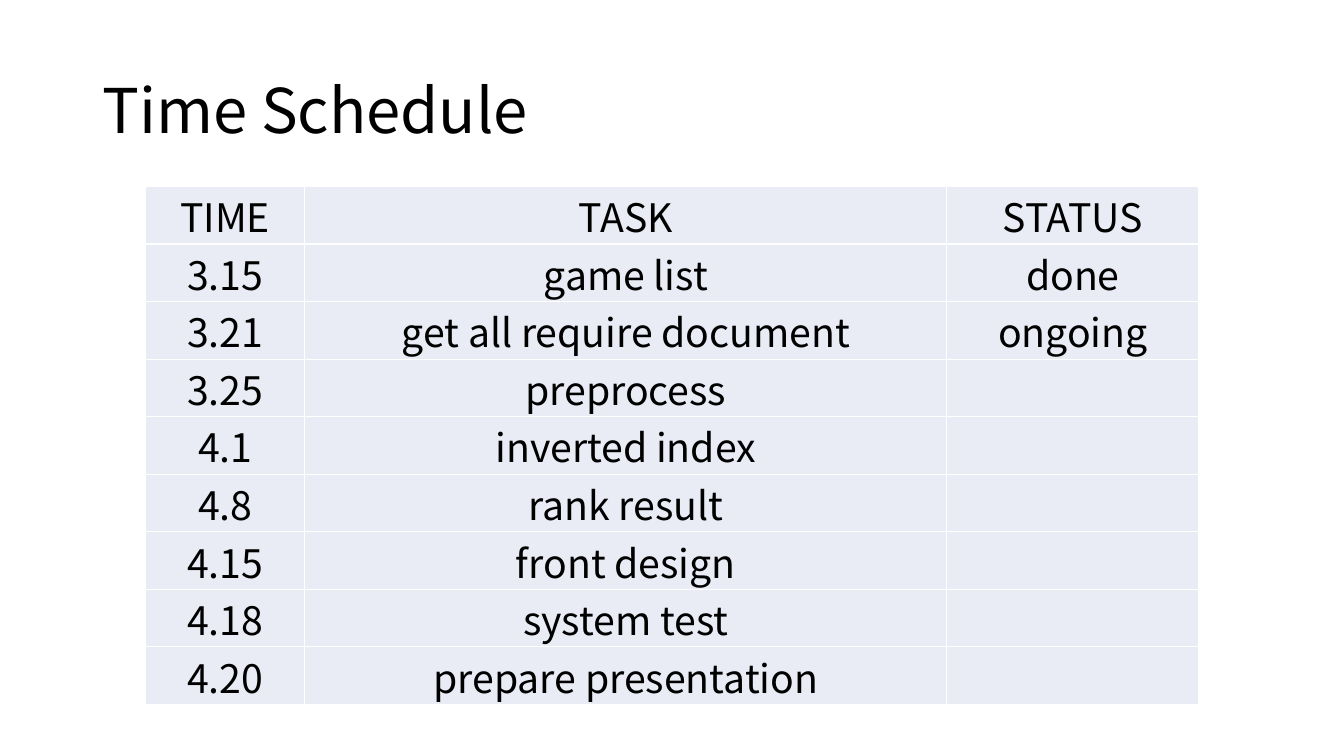
from lxml import etree
from pptx import Presentation
from pptx.dml.color import RGBColor
from pptx.enum import text
from pptx.oxml import ns
from pptx.util import Cm, Pt

FONT = "Noto Sans CJK SC"
SCHEDULE = [
    ("TIME", "TASK", "STATUS"),
    ("3.15", "game list", "done"),
    ("3.21", "get all require document", "ongoing"),
    ("3.25", "preprocess", ""),
    ("4.1", "inverted index", ""),
    ("4.8", "rank result", ""),
    ("4.15", "front design", ""),
    ("4.18", "system test", ""),
    ("4.20", "prepare presentation", ""),
]
COLUMN_WIDTHS = [4.01, 16.18, 6.35]
ROW_HEIGHT = 1.45


def color(value):
    return RGBColor.from_string(value)


def style_font(font, size):
    font.name = FONT
    font.size = Pt(size)
    font.color.rgb = color("000000")


presentation = Presentation()
presentation.slide_width = Cm(33.87)
presentation.slide_height = Cm(19.05)
slide = presentation.slides.add_slide(presentation.slide_layouts[6])

title = slide.shapes.add_textbox(Cm(2.33), Cm(1.01), Cm(29.21), Cm(3.68))
title_frame = title.text_frame
title_frame.word_wrap = True
title_frame.vertical_anchor = text.MSO_ANCHOR.MIDDLE
title_frame.text = "Time Schedule"
paragraph = title_frame.paragraphs[0]
paragraph.line_spacing = 0.9
style_font(paragraph.runs[0].font, 44)

table = slide.shapes.add_table(
    len(SCHEDULE), len(COLUMN_WIDTHS), Cm(3.67), Cm(4.7),
    Cm(sum(COLUMN_WIDTHS)), Cm(ROW_HEIGHT * len(SCHEDULE)),
).table
for column, width in zip(table.columns, COLUMN_WIDTHS):
    column.width = Cm(width)

for row, entries in zip(table.rows, SCHEDULE):
    row.height = Cm(ROW_HEIGHT)
    for cell, entry in zip(row.cells, entries):
        cell.margin_left = cell.margin_top = cell.margin_right = Cm(0.02)
        cell.margin_bottom = 0
        cell.vertical_anchor = text.MSO_ANCHOR.BOTTOM
        properties = cell._tc.get_or_add_tcPr()
        for side in ("lnL", "lnR", "lnT", "lnB"):
            border = etree.SubElement(properties, ns.qn(f"a:{side}"), w=str(Pt(1)))
            border_fill = etree.SubElement(border, ns.qn("a:solidFill"))
            etree.SubElement(border_fill, ns.qn("a:srgbClr"), val="FFFFFF")
        cell.fill.solid()
        cell.fill.fore_color.rgb = color("E9EBF5")
        cell.text_frame.text = entry
        paragraph = cell.text_frame.paragraphs[0]
        paragraph.alignment = text.PP_ALIGN.CENTER
        for run in paragraph.runs:
            style_font(run.font, 28)
            run.font.bold = False

presentation.save("out.pptx")
